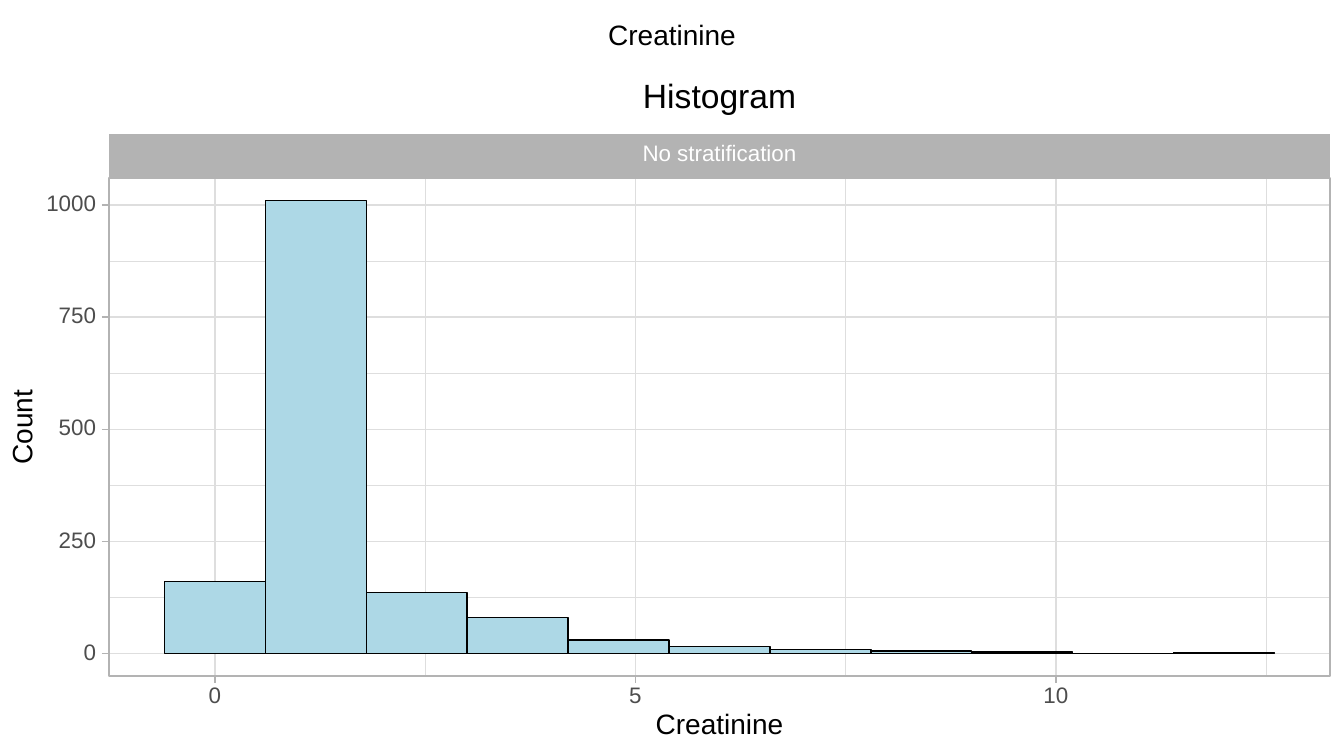
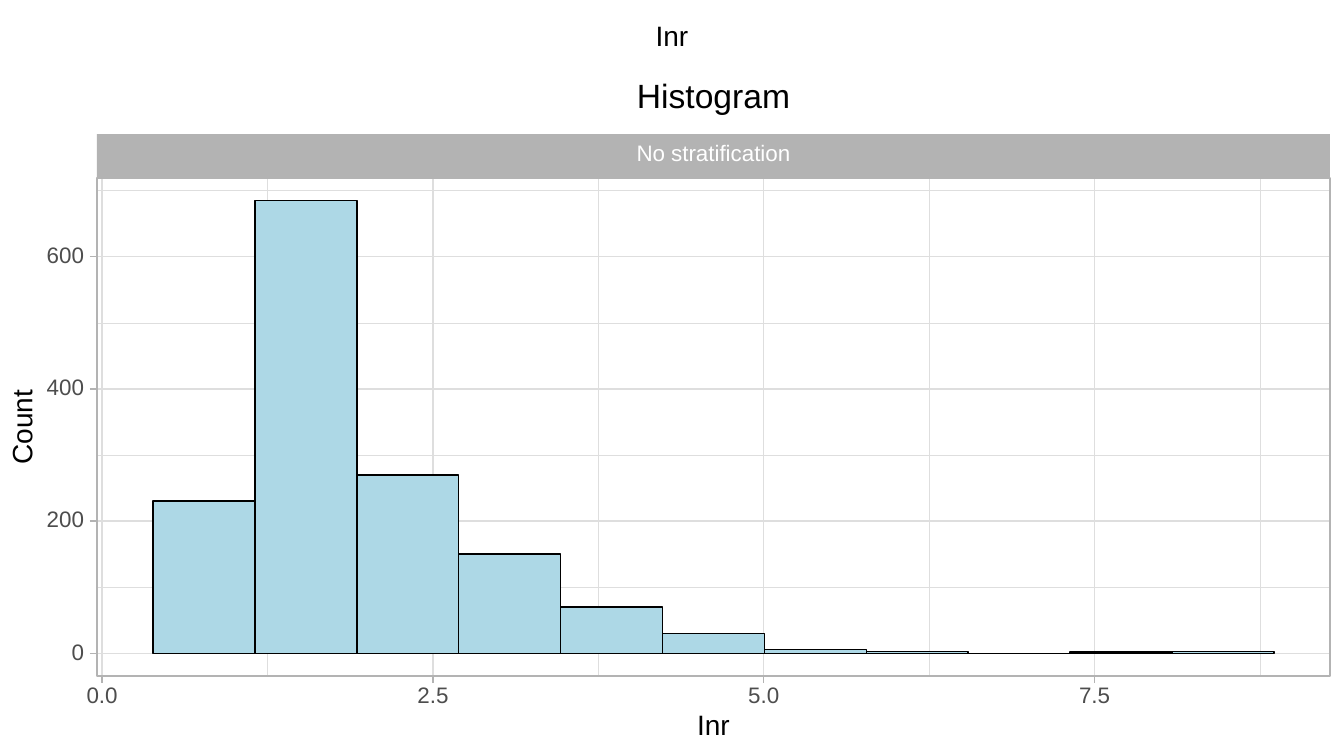
"""Build two histogram slides, each a column chart on a numeric panel."""
import math

from lxml import etree
from pptx import Presentation
from pptx import util as u
from pptx.chart.data import CategoryChartData
from pptx.dml.color import RGBColor
from pptx.enum import chart as charts, shapes, text
from pptx.oxml import parse_xml
from pptx.oxml.ns import nsdecls, qn

HISTOGRAMS = [
    dict(name="Creatinine", name_y=37, left=109, bin_width=1.2, first_bin=0,
         counts=[160, 1010, 135, 80, 30, 15, 8, 5, 3, 0, 2],
         x_step=5, x_format="{:.0f}", y_step=250),
    dict(name="Inr", name_y=38, left=97, bin_width=0.77, first_bin=1,
         counts=[230, 685, 270, 150, 70, 30, 6, 3, 0, 2, 3],
         x_step=2.5, x_format="{:.1f}", y_step=200),
]
HEADING, STRIP_LABEL, COUNT_LABEL = "Histogram", "No stratification", "Count"

FONT = "Arial"
BLACK = RGBColor(0x00, 0x00, 0x00)
WHITE = RGBColor(0xFF, 0xFF, 0xFF)
LABEL_GRAY = RGBColor(0x4D, 0x4D, 0x4D)
FRAME_GRAY = RGBColor(0xB3, 0xB3, 0xB3)
GRID_GRAY = RGBColor(0xDE, 0xDE, 0xDE)
BAR_BLUE = RGBColor(0xAD, 0xD8, 0xE6)

EMU_PER_PX = 914400 / 100.8
SLIDE_WIDTH, SLIDE_HEIGHT = 1344, 756
STRIP_TOP, PANEL_TOP, PANEL_BOTTOM, PANEL_RIGHT = 134, 178, 676, 1330
TICK = 7
LABEL_GAP = 13
AXIS_NAME_DROP = 689
PADDING = 0.05
PADDED = 1 + 2 * PADDING
MINOR_LINE, MAJOR_LINE, BAR_LINE, FRAME_LINE = 0.48, 0.97, 1.07, 1.94


def px(value):
    return u.Emu(round(value * EMU_PER_PX))


def add_text(slide, words, x, y, size, color, align=text.PP_ALIGN.CENTER, width=400, rotation=0):
    """Place one line of text centred on y and centred or right-aligned on x."""
    left = x - width if align == text.PP_ALIGN.RIGHT else x - width / 2
    box = slide.shapes.add_textbox(px(left), px(y - size / 2), px(width), px(size))
    box.rotation = rotation
    frame = box.text_frame
    frame.word_wrap = True
    frame.vertical_anchor = text.MSO_ANCHOR.MIDDLE
    frame.margin_left = frame.margin_right = frame.margin_top = frame.margin_bottom = 0
    paragraph = frame.paragraphs[0]
    paragraph.alignment = align
    paragraph.line_spacing = u.Pt(size)
    run = paragraph.add_run()
    run.text = words
    run.font.name, run.font.size, run.font.color.rgb = FONT, u.Pt(size), color


def add_line(slide, x1, y1, x2, y2, color, weight):
    line = slide.shapes.add_connector(shapes.MSO_CONNECTOR.STRAIGHT, px(x1), px(y1), px(x2), px(y2))
    line.line.color.rgb = color
    line.line.width = u.Pt(weight)
    etree.SubElement(line.element.spPr, qn("a:effectLst"))


def add_box(slide, left, top, right, bottom, fill=None, outline=None):
    box = slide.shapes.add_shape(shapes.MSO_SHAPE.RECTANGLE, px(left), px(top),
                                 px(right - left), px(bottom - top))
    box.shadow.inherit = False
    if fill is None:
        box.fill.background()
    else:
        box.fill.solid()
        box.fill.fore_color.rgb = fill
    if outline is None:
        box.line.fill.background()
    else:
        box.line.color.rgb = outline
        box.line.width = u.Pt(FRAME_LINE)


def split_ticks(low, high, step):
    """Return major ticks, and the minor ticks halfway between them."""
    half = step / 2
    halves = range(math.ceil(low / half), math.floor(high / half) + 1)
    return ([n * half for n in halves if n % 2 == 0],
            [n * half for n in halves if n % 2])


def clear_fill():
    return parse_xml(f'<c:spPr {nsdecls("c", "a")}><a:noFill/><a:ln><a:noFill/></a:ln></c:spPr>')


def fit_plot(chart):
    """Make the chart transparent and leave the panel padding around its bars."""
    chart_element = chart.element.find(qn("c:chart"))
    chart_element.addnext(clear_fill())
    plot_area = chart_element.find(qn("c:plotArea"))
    for layout in plot_area.findall(qn("c:layout")):
        plot_area.remove(layout)
    layout = etree.Element(qn("c:layout"))
    manual = etree.SubElement(layout, qn("c:manualLayout"))
    settings = [("layoutTarget", "inner"), ("xMode", "edge"), ("yMode", "edge"),
                ("x", PADDING / PADDED), ("y", 0),
                ("w", 1 / PADDED), ("h", (1 + PADDING) / PADDED)]
    for tag, value in settings:
        etree.SubElement(manual, qn("c:" + tag)).set("val", str(value))
    plot_area.insert(0, layout)
    plot_area.append(clear_fill())


def add_bars(slide, histogram):
    counts, left = histogram["counts"], histogram["left"]
    data = CategoryChartData(number_format="0")
    data.categories = [f"{(histogram['first_bin'] + n) * histogram['bin_width']:.1f}"
                       for n in range(len(counts))]
    data.add_series(COUNT_LABEL, counts)
    chart = slide.shapes.add_chart(charts.XL_CHART_TYPE.COLUMN_CLUSTERED, px(left), px(PANEL_TOP),
                                   px(PANEL_RIGHT - left), px(PANEL_BOTTOM - PANEL_TOP), data).chart
    chart.has_title = chart.has_legend = False
    chart.font.name, chart.font.size, chart.font.color.rgb = FONT, u.Pt(16), LABEL_GRAY
    chart.value_axis.minimum_scale = 0
    chart.value_axis.maximum_scale = round(max(counts) * (1 + PADDING), 2)
    for axis in (chart.value_axis, chart.category_axis):
        axis.has_major_gridlines = False
        axis.visible = False
    plot = chart.plots[0]
    plot.gap_width = 0
    plot.vary_by_categories = False
    bars = plot.series[0].format
    bars.fill.solid()
    bars.fill.fore_color.rgb = BAR_BLUE
    bars.line.color.rgb = BLACK
    bars.line.width = u.Pt(BAR_LINE)
    fit_plot(chart)


def add_histogram(slide, histogram):
    left, counts = histogram["left"], histogram["counts"]
    center = (left + PANEL_RIGHT) / 2
    middle = (PANEL_TOP + PANEL_BOTTOM) / 2
    span = len(counts) * histogram["bin_width"]
    x_low = (histogram["first_bin"] - 0.5) * histogram["bin_width"] - PADDING * span
    x_high = x_low + PADDED * span
    y_low, y_high = -PADDING * max(counts), (1 + PADDING) * max(counts)
    x_major, x_minor = split_ticks(x_low, x_high, histogram["x_step"])
    y_major, y_minor = split_ticks(y_low, y_high, histogram["y_step"])

    def x_at(value):
        return left + (value - x_low) / (x_high - x_low) * (PANEL_RIGHT - left)

    def y_at(value):
        return PANEL_BOTTOM - (value - y_low) / (y_high - y_low) * (PANEL_BOTTOM - PANEL_TOP)

    add_text(slide, histogram["name"], SLIDE_WIDTH / 2, histogram["name_y"], 20, BLACK)
    for x_ticks, y_ticks, weight in ((x_minor, y_minor, MINOR_LINE), (x_major, y_major, MAJOR_LINE)):
        for value in y_ticks:
            add_line(slide, left, y_at(value), PANEL_RIGHT, y_at(value), GRID_GRAY, weight)
        for value in x_ticks:
            add_line(slide, x_at(value), PANEL_TOP, x_at(value), PANEL_BOTTOM, GRID_GRAY, weight)
    add_bars(slide, histogram)
    add_box(slide, left, PANEL_TOP, PANEL_RIGHT, PANEL_BOTTOM, outline=FRAME_GRAY)
    add_box(slide, left, STRIP_TOP, PANEL_RIGHT, PANEL_TOP, fill=FRAME_GRAY)
    add_text(slide, STRIP_LABEL, center, 155, 16, WHITE)
    for value in x_major:
        x = x_at(value)
        add_line(slide, x, PANEL_BOTTOM, x, PANEL_BOTTOM + TICK, FRAME_GRAY, MAJOR_LINE)
        add_text(slide, histogram["x_format"].format(value), x, 697, 16, LABEL_GRAY, width=80)
    for value in y_major:
        y = y_at(value)
        add_line(slide, left - TICK, y, left, y, FRAME_GRAY, MAJOR_LINE)
        add_text(slide, f"{value:.0f}", left - LABEL_GAP, y, 16, LABEL_GRAY,
                 text.PP_ALIGN.RIGHT, width=60)
    add_text(slide, histogram["name"], center, histogram["name_y"] + AXIS_NAME_DROP, 20, BLACK)
    add_text(slide, COUNT_LABEL, 24, middle, 20, BLACK, width=100, rotation=270)
    add_text(slide, HEADING, center, 98, 24, BLACK)


def main():
    presentation = Presentation()
    presentation.slide_width, presentation.slide_height = px(SLIDE_WIDTH), px(SLIDE_HEIGHT)
    for histogram in HISTOGRAMS:
        add_histogram(presentation.slides.add_slide(presentation.slide_layouts[6]), histogram)
    presentation.save("out.pptx")


if __name__ == "__main__":
    main()
